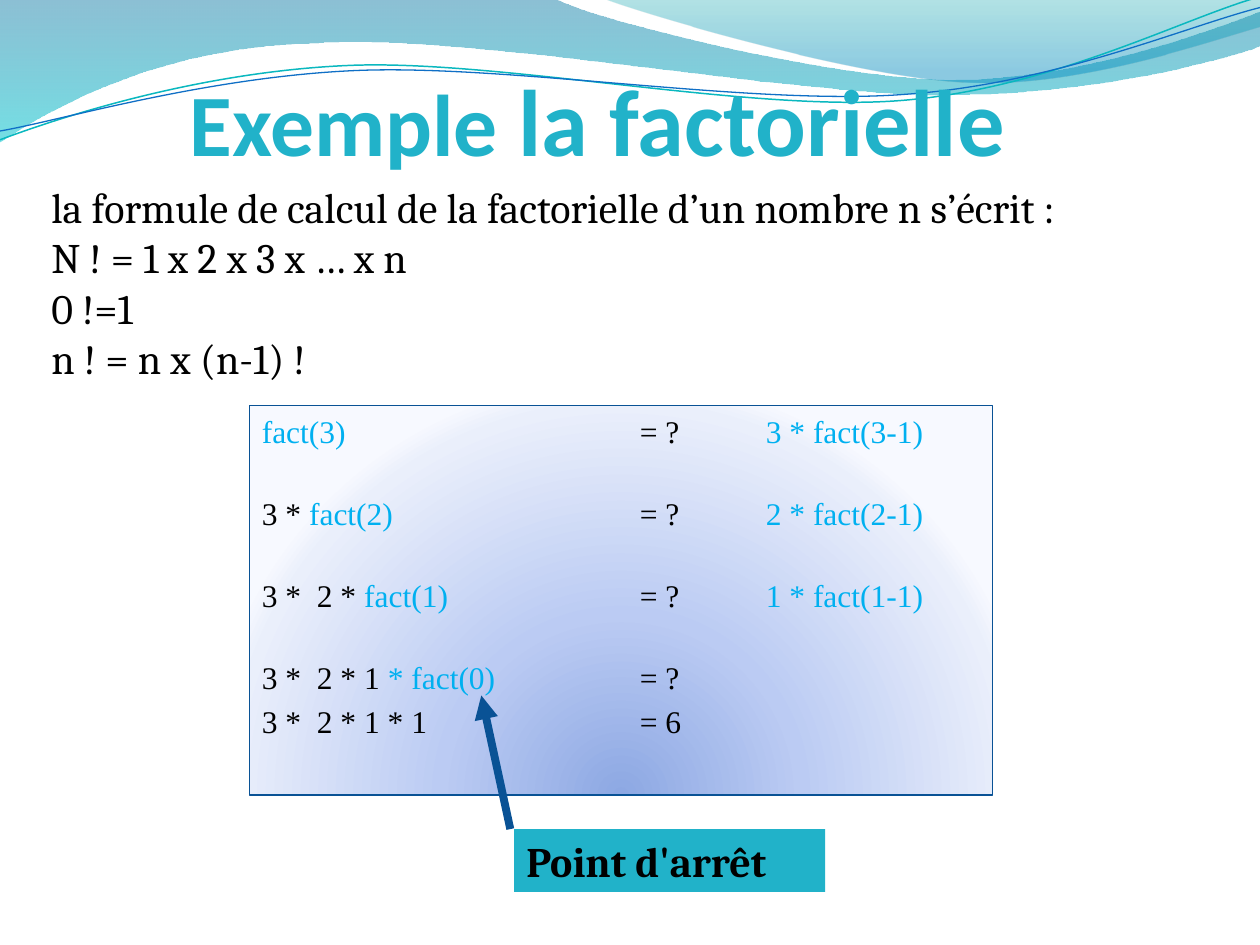
import pptx
import pptx.util
import pptx.dml.color
import pptx.enum.shapes
import pptx.enum.text
import pptx.oxml
import pptx.oxml.ns
from lxml import etree

Inches, Pt = pptx.util.Inches, pptx.util.Pt
RGBColor = pptx.dml.color.RGBColor
qn = pptx.oxml.ns.qn
PP_ALIGN, MSO_ANCHOR = pptx.enum.text.PP_ALIGN, pptx.enum.text.MSO_ANCHOR
RECTANGLE = pptx.enum.shapes.MSO_SHAPE.RECTANGLE
STRAIGHT = pptx.enum.shapes.MSO_CONNECTOR.STRAIGHT

BLACK = RGBColor(0, 0, 0)
TURQUOISE = RGBColor(0x21, 0xB2, 0xC9)
CALL_BLUE = RGBColor(0x00, 0xB0, 0xF0)
NAVY = RGBColor(0x09, 0x52, 0x95)
TEAL_LINE = RGBColor(0x0A, 0xB8, 0xBF)
BLUE_LINE = RGBColor(0x0F, 0x6F, 0xC6)

TITLE = [("Exemple ", 50), ("la factorielle", 54), (" ", 50)]
FORMULAS = [
    "la formule de calcul de la factorielle d’un nombre n s’écrit\u00a0:",
    "N\u00a0! = 1 x 2 x 3 x … x n",
    "0\u00a0!=1",
    "n\u00a0! = n x (n-1)\u00a0!",
]
# Known factors, pending call, result, expansion, space before in points
STEPS = [
    ("", "fact(3)", "= ?", "3 * fact(3-1)", 0),
    ("3 * ", "fact(2)", "= ?", "2 * fact(2-1)", 25.3),
    ("3 *  2 * ", "fact(1)", "= ?", "1 * fact(1-1)", 25.3),
    ("3 *  2 * 1 ", "* fact(0)", "= ?", "", 25.3),
    ("3 *  2 * 1 * 1", "", "= 6", "", 3.6),
]
TAB_STOPS = (3, 4)
STOP_LABEL = "Point d'arrêt"

# Each outline is a list of segments: one point is a line, three are a Bézier curve
LEFT_WAVE = [
    [(0, 0)], [(4.4, -0.01)],
    [(4.76, 0.17), (6.64, 0.63), (7.58, 0.63)],
    [(8.53, 0.63), (9.58, 0.26), (10, 0.09)], [(10.01, 0.36)],
    [(9.83, 0.44), (8.7, 0.76), (7.46, 0.75)],
    [(6.22, 0.75), (3.82, 0.28), (2.57, 0.34)],
    [(1.29, 0.36), (0.46, 0.83), (-0.01, 1.13)], [(0, 0)],
]
RIGHT_WAVE = [
    [(4.79, -0.01)],
    [(5.09, 0.11), (6.82, 0.62), (7.69, 0.65)],
    [(8.56, 0.69), (9.61, 0.32), (10, 0.21)], [(10, 0)], [(4.79, -0.01)],
]
TEAL_CURVE = [
    [(0, 1.11)],
    [(0.48, 0.93), (1.58, 0.57), (2.77, 0.52)],
    [(3.95, 0.47), (5.93, 0.89), (7.13, 0.8)],
    [(8.33, 0.71), (9.38, 0.15), (9.98, -0.02)],
]
BLUE_CURVE = [
    [(0, 1.04)],
    [(0.47, 0.96), (1.64, 0.61), (2.83, 0.56)],
    [(4.03, 0.51), (5.97, 0.84), (7.17, 0.75)],
    [(8.36, 0.67), (9.41, 0.21), (10, 0.06)],
]
# Fill stops: position %, colour, opacity %
WAVES = [
    (LEFT_WAVE, [(0, "0074A1", 45), (100, "00C6CF", 55)]),
    (RIGHT_WAVE, [(0, "00A1A9", 30), (80, "008BBF", 45)]),
]
CURVES = [(TEAL_CURVE, TEAL_LINE, 0.85), (BLUE_CURVE, BLUE_LINE, 0.75)]
PANEL_STOPS = [(0, "8DA8E3", 100), (43, "BBCBF3", 100),
               (93, "EAEFFB", 100), (100, "F7F9FF", 100)]
DOWNWARD = '<a:lin ang="5400000" scaled="0"/>'
FROM_BELOW = ('<a:path path="circle"><a:fillToRect l="50000" t="130000" '
              'r="50000" b="-30000"/></a:path>')
UNITS = 1000  # outline units per inch


def add_outline(slide, outline, close):
    """Draw the outline through all its points, then bend its three-point segments."""
    start, *rest = [(round(x * UNITS), round(y * UNITS))
                    for segment in outline for x, y in segment]
    builder = slide.shapes.build_freeform(*start, scale=Inches(1) / UNITS)
    builder.add_line_segments(rest, close=close)
    shape = builder.convert_to_shape()
    shape.shadow.inherit = False

    lines = shape.element.spPr.findall(".//" + qn("a:lnTo"))
    for segment in outline[1:]:
        pieces, lines = lines[:len(segment)], lines[len(segment):]
        if len(segment) == 3:
            curve = etree.Element(qn("a:cubicBezTo"))
            pieces[0].addprevious(curve)
            for piece in pieces:
                curve.append(piece.find(qn("a:pt")))
                piece.getparent().remove(piece)
    return shape


def set_gradient(shape, stops, direction):
    stop_xml = "".join(
        f'<a:gs pos="{pos * 1000}"><a:srgbClr val="{colour}">'
        f'<a:alpha val="{opacity * 1000}"/></a:srgbClr></a:gs>'
        for pos, colour, opacity in stops)
    gradient = pptx.oxml.parse_xml(
        f'<a:gradFill {pptx.oxml.ns.nsdecls("a")} rotWithShape="1">'
        f'<a:gsLst>{stop_xml}</a:gsLst>{direction}</a:gradFill>')
    shape.fill.background()
    no_fill = shape.element.spPr.find(qn("a:noFill"))
    shape.element.spPr.replace(no_fill, gradient)


def add_run(paragraph, text, colour=None, size=None):
    run = paragraph.add_run()
    run.text = text
    if colour is not None:
        run.font.color.rgb = colour
    if size is not None:
        run.font.size = Pt(size)


def set_font(paragraph, name, size, colour=BLACK, bold=False):
    font = paragraph.font
    font.name, font.size, font.bold = name, Pt(size), bold
    font.color.rgb = colour


def add_box(slide, left, top, width, height):
    box = slide.shapes.add_shape(RECTANGLE, Inches(left), Inches(top),
                                 Inches(width), Inches(height))
    box.shadow.inherit = False
    box.text_frame.word_wrap = True
    box.text_frame.vertical_anchor = MSO_ANCHOR.TOP
    return box


def next_paragraph(frame, index):
    return frame.add_paragraph() if index else frame.paragraphs[0]


def add_waves(slide):
    for outline, stops in WAVES:
        wave = add_outline(slide, outline, close=True)
        set_gradient(wave, stops, DOWNWARD)
        wave.line.fill.background()
    for outline, colour, width in CURVES:
        curve = add_outline(slide, outline, close=False)
        curve.fill.background()
        curve.line.color.rgb = colour
        curve.line.width = Pt(width)


def add_steps(slide):
    panel = add_box(slide, 1.98, 3.22, 5.9, 3.09)
    set_gradient(panel, PANEL_STOPS, FROM_BELOW)
    panel.line.color.rgb = NAVY
    panel.line.width = Pt(0.75)
    for index, (factors, call, result, expansion, gap) in enumerate(STEPS):
        paragraph = next_paragraph(panel.text_frame, index)
        paragraph.alignment = PP_ALIGN.LEFT
        paragraph.space_before = Pt(gap)
        set_font(paragraph, "Times New Roman", 18)
        tab_list = etree.Element(qn("a:tabLst"))
        for stop in TAB_STOPS:
            etree.SubElement(tab_list, qn("a:tab"), pos=str(Inches(stop)), algn="l")
        properties = paragraph._p.get_or_add_pPr()
        properties.find(qn("a:defRPr")).addprevious(tab_list)
        parts = [(factors, BLACK), (call, CALL_BLUE), ("\t" + result, BLACK),
                 ("\t" + expansion if expansion else "", CALL_BLUE)]
        for text, colour in parts:
            if text:
                add_run(paragraph, text, colour)


def add_stop_marker(slide):
    arrow = slide.shapes.add_connector(STRAIGHT, Inches(4.05), Inches(6.58),
                                       Inches(3.82), Inches(5.52))
    arrow.line.color.rgb = NAVY
    arrow.line.width = Pt(4.5)
    etree.SubElement(arrow.line._get_or_add_ln(), qn("a:tailEnd"), type="triangle")
    etree.SubElement(arrow.element.spPr, qn("a:effectLst"))

    label = add_box(slide, 4.08, 6.58, 2.47, 0.5)
    label.fill.solid()
    label.fill.fore_color.rgb = TURQUOISE
    label.line.fill.background()
    paragraph = label.text_frame.paragraphs[0]
    paragraph.alignment = PP_ALIGN.LEFT
    set_font(paragraph, "Cambria", 24, bold=True)
    add_run(paragraph, STOP_LABEL)


def add_formulas(slide):
    formulas = slide.shapes.add_textbox(Inches(0.31), Inches(1.39), Inches(8.6), Inches(1.72))
    formulas.text_frame.word_wrap = False
    for index, text in enumerate(FORMULAS):
        paragraph = next_paragraph(formulas.text_frame, index)
        set_font(paragraph, "Cambria", 24)
        add_run(paragraph, text)


def add_title(slide):
    title = slide.shapes.add_textbox(Inches(-0.12), Inches(0.21), Inches(9.88), Inches(1.18))
    frame = title.text_frame
    frame.word_wrap = True
    frame.vertical_anchor = MSO_ANCHOR.BOTTOM
    frame.margin_left = frame.margin_right = frame.margin_bottom = 0
    paragraph = frame.paragraphs[0]
    paragraph.alignment = PP_ALIGN.CENTER
    set_font(paragraph, "Calibri", 50, TURQUOISE, bold=True)
    for text, size in TITLE:
        add_run(paragraph, text, size=size)


def main():
    deck = pptx.Presentation()
    deck.slide_width, deck.slide_height = Inches(10), Inches(7.5)
    slide = deck.slides.add_slide(deck.slide_layouts[6])
    for add_part in (add_waves, add_steps, add_stop_marker, add_formulas, add_title):
        add_part(slide)
    deck.save("out.pptx")


if __name__ == "__main__":
    main()
